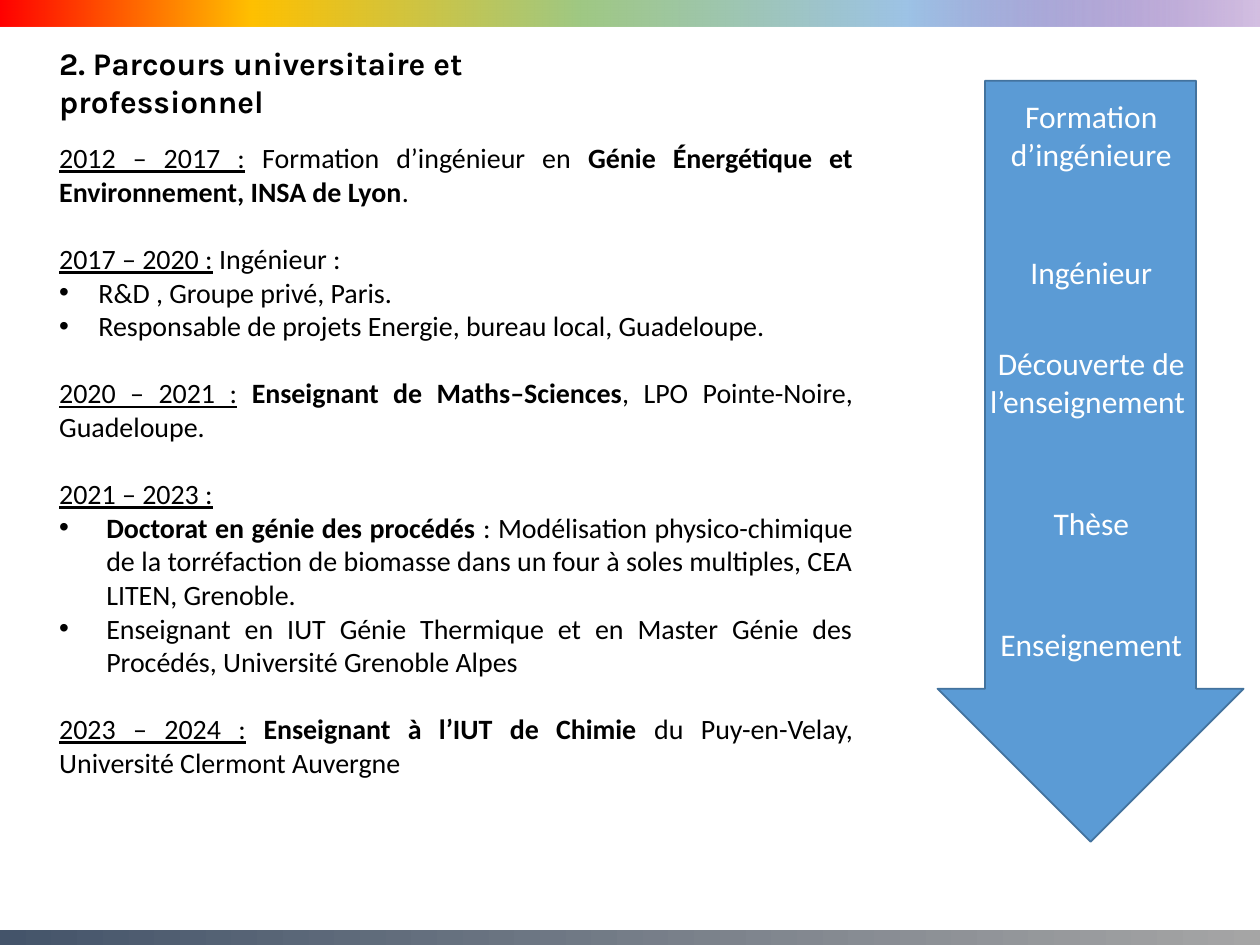
from dataclasses import dataclass

from lxml.etree import SubElement as Sub
from pptx import Presentation
from pptx.dml.color import RGBColor as Rgb
from pptx.enum.shapes import MSO_SHAPE as Kind
from pptx.enum.text import MSO_ANCHOR as Anchor, MSO_AUTO_SIZE as Fit, PP_ALIGN as Align
from pptx.oxml.ns import qn
from pptx.util import Cm, Pt


@dataclass(frozen=True)
class Theme:
    ink: str = "000000"
    light: str = "FFFFFF"
    arrow: str = "5B9BD5"
    edge: str = "43739E"
    # Gradient stops: position %, colour, opacity %
    top: tuple = ((0, "FF0000", 100), (20, "FFC000", 100), (46, "9FC883", 100),
                  (72, "9DC3E6", 100), (100, "7030A0", 30))
    foot: tuple = ((0, "44546A", 100), (100, "A5A5A5", 100))
    font: str = "Calibri"
    head: str = "Karla"
    body: int = 16
    large: int = 18
    gap: float = 19.2


class Page:
    def __init__(self, slide, theme):
        self.slide, self.theme = slide, theme

    def place(self, shape, box):
        shape.left, shape.top, shape.width, shape.height = map(Cm, box)

    def run(self, para, text, size, color, font, style=""):
        run = para.add_run()
        run.text = text
        face = run.font
        face.name, face.size = font, Pt(size)
        face.color.rgb = Rgb.from_string(color)
        face.bold = "b" in style
        face.underline = "u" in style

    def frame(self, shape):
        frame = shape.text_frame
        frame.word_wrap = True
        frame.auto_size = Fit.NONE
        frame.vertical_anchor = Anchor.TOP
        return frame

    def title(self, text, box):
        shape = self.slide.shapes.title
        self.place(shape, box)
        para = self.frame(shape).paragraphs[0]
        para.alignment = Align.LEFT
        self.run(para, text, self.theme.large, self.theme.ink, self.theme.head, "b")

    def list(self, groups, box, inset):
        look = self.theme
        shape = self.slide.placeholders[1]
        self.place(shape, box)
        frame = self.frame(shape)
        frame.margin_top = Cm(inset)
        para = None
        for hang, items in groups:
            for i, runs in enumerate(items):
                first = para is None
                para = frame.paragraphs[0] if first else frame.add_paragraph()
                self.mark(para, hang if i else 0)
                para.alignment = Align.JUSTIFY
                para.space_before = Pt(0 if first or i else look.gap)
                for text, style in runs:
                    self.run(para, text, look.body, look.ink, look.font, style)

    def mark(self, para, hang):
        """Bullet with a hanging indent, or no bullet when hang is 0."""
        props = para._p.get_or_add_pPr()
        props.set("marL", str(Cm(hang)))
        props.set("indent", str(-Cm(hang)))
        if hang:
            Sub(props, qn("a:buFont")).set("typeface", "Arial")
            Sub(props, qn("a:buChar")).set("char", "•")
        else:
            Sub(props, qn("a:buNone"))

    def shape(self, kind, box):
        shape = self.slide.shapes.add_shape(kind, *map(Cm, box))
        shape.shadow.inherit = False
        return shape

    def bar(self, stops, box):
        shape = self.shape(Kind.RECTANGLE, box)
        shape.line.fill.background()
        shape.fill.gradient()
        shape.fill.gradient_angle = 0
        ramp = next(shape._element.spPr.iter(qn("a:gsLst")))
        for old in list(ramp):
            ramp.remove(old)
        for pos, color, alpha in stops:
            stop = Sub(ramp, qn("a:gs"))
            stop.set("pos", str(pos * 1000))
            tint = Sub(stop, qn("a:srgbClr"))
            tint.set("val", color)
            if alpha < 100:
                Sub(tint, qn("a:alpha")).set("val", str(alpha * 1000))

    def arrow(self, box):
        shape = self.shape(Kind.DOWN_ARROW, box)
        shape.adjustments[0], shape.adjustments[1] = 0.69, 0.5
        shape.fill.solid()
        shape.fill.fore_color.rgb = Rgb.from_string(self.theme.arrow)
        shape.line.color.rgb = Rgb.from_string(self.theme.edge)
        shape.line.width = Pt(1)

    def label(self, text, box):
        shape = self.slide.shapes.add_textbox(*map(Cm, box))
        para = self.frame(shape).paragraphs[0]
        para.alignment = Align.CENTER
        self.run(para, text, self.theme.large, self.theme.light, self.theme.font)


# Career periods: bullet indent, then a heading line and its bullets
CAREER = [
    (0, [[("2012 – 2017 :", "u"), (" Formation d’ingénieur en ", ""),
          ("Génie Énergétique et Environnement, INSA de Lyon", "b"), (".", "")]]),
    (0.79, [[("2017 – 2020 :", "u"), (" Ingénieur :", "")],
            [("R&D , Groupe privé, Paris.", "")],
            [("Responsable de projets Energie, bureau local, Guadeloupe.", "")]]),
    (0, [[("2020 – 2021 :", "u"), (" ", ""), ("Enseignant de Maths–Sciences", "b"),
          (", LPO Pointe-Noire, Guadeloupe.", "")]]),
    (0.95, [[("2021 – 2023 :", "u")],
            [("Doctorat en génie des procédés", "b"),
             (" : Modélisation physico-chimique de la torréfaction de biomasse dans un "
              "four à soles multiples, CEA LITEN, Grenoble.", "")],
            [("Enseignant en IUT Génie Thermique et en Master Génie des Procédés, "
              "Université Grenoble Alpes", "")]]),
    (0, [[("2023 – 2024 :", "u"), (" ", ""), ("Enseignant à l’IUT de Chimie", "b"),
          (" du Puy-en-Velay, Université Clermont Auvergne", "")]]),
]

# Arrow steps: text, top, height
STEPS = [
    ("Formation d’ingénieure", 1.83, 1.8),
    ("Ingénieur", 4.98, 1.02),
    ("Découverte de l’enseignement ", 6.81, 1.8),
    ("Thèse", 10.03, 1.02),
    ("Enseignement", 12.47, 1.02),
]


def main():
    deck = Presentation()
    deck.slide_width, deck.slide_height = Cm(25.4), Cm(19.05)
    look = Theme()
    page = Page(deck.slides.add_slide(deck.slide_layouts[1]), look)

    # Colour bars
    page.bar(look.foot, (0, 18.75, 25.4, 0.3))
    page.bar(look.top, (0, 0, 25.4, 0.53))

    # Title and career list
    page.title("2. Parcours universitaire et professionnel", (0.94, 0.76, 12.7, 1.02))
    page.list(CAREER, (0.94, 2.03, 16.51, 14.63), 0.81)

    # Arrow with its steps
    page.arrow((18.9, 1.63, 6.17, 15.34))
    for text, top, high in STEPS:
        page.label(text, (19.69, top, 4.62, high))

    deck.save("out.pptx")


if __name__ == "__main__":
    main()
